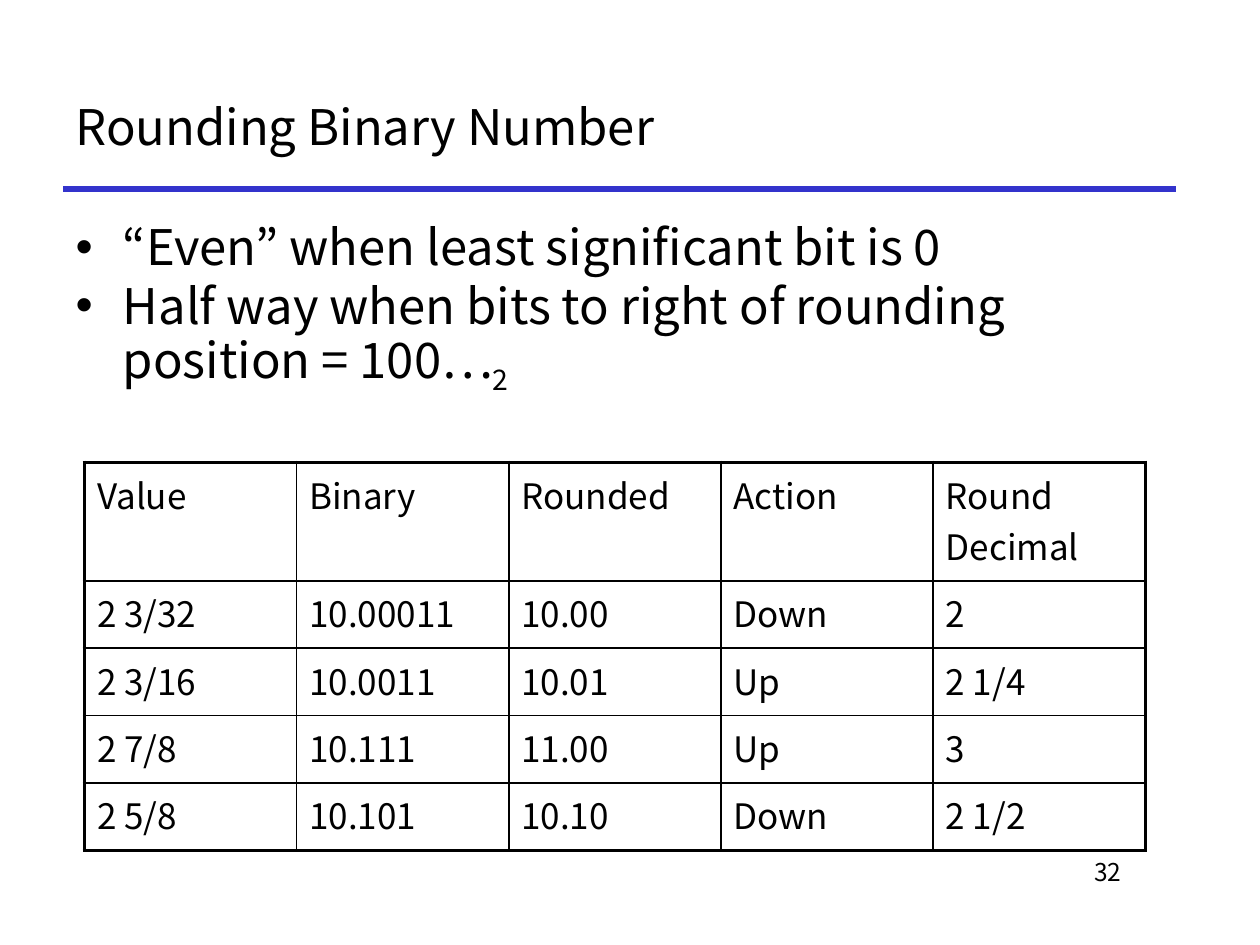
from lxml.etree import SubElement
from pptx import Presentation
from pptx.dml.color import RGBColor
from pptx.enum.shapes import MSO_CONNECTOR as Connector
from pptx.enum.text import MSO_ANCHOR as Anchor, MSO_AUTO_SIZE as AutoSize, PP_ALIGN as Align
from pptx.oxml import parse_xml
from pptx.oxml.ns import nsdecls, qn
from pptx.util import Inches, Pt

FONT = "Noto Sans CJK KR"
BLACK = RGBColor(0x00, 0x00, 0x00)
WHITE = RGBColor(0xFF, 0xFF, 0xFF)
RULE_BLUE = RGBColor(0x33, 0x33, 0xCC)
OUTER, INNER = Pt(2.25), Pt(1)

POINTS = [
    [("“Even” when least significant bit is 0", 0)],
    [("Half way when bits to right of rounding position = 100…", 0), ("2", -25)],
]
ROUNDING = [
    ("Value", "Binary", "Rounded", "Action", "Round Decimal"),
    ("2 3/32", "10.00011", "10.00", "Down", "2"),
    ("2 3/16", "10.0011", "10.01", "Up", "2 1/4"),
    ("2 7/8", "10.111", "11.00", "Up", "3"),
    ("2 5/8", "10.101", "10.10", "Down", "2 1/2"),
]
HEADER_HEIGHT = 0.94


def add_text(para, text, size, baseline=0, align=Align.LEFT):
    """Append a run; baseline is a percentage, negative for a subscript."""
    para.alignment = align
    span = para.add_run()
    span.text = text
    span.font.name, span.font.size = FONT, Pt(size)
    span.font.color.rgb = BLACK
    if baseline:
        span.font._element.set("baseline", str(baseline * 1000))


def place(shape, left, top, width, height):
    shape.left, shape.top = Inches(left), Inches(top)
    shape.width, shape.height = Inches(width), Inches(height)


def fill_title(page, left, top, width, height):
    """Title with the blue rule along its lower edge."""
    bottom = Inches(top + height)
    rule = page.shapes.add_connector(
        Connector.STRAIGHT, Inches(left), bottom, Inches(left + width), bottom)
    rule.line.color.rgb, rule.line.width = RULE_BLUE, Pt(3)
    SubElement(rule._element.spPr, qn("a:effectLst"))

    title = page.shapes.title
    place(title, left, top, width, height)
    frame = title.text_frame
    frame.auto_size, frame.vertical_anchor = AutoSize.NONE, Anchor.MIDDLE
    add_text(frame.paragraphs[0], "Rounding Binary Number", 28)


def fill_points(page, left, top, width, height):
    body = page.placeholders[1]
    place(body, left, top, width, height)
    frame = body.text_frame
    frame.auto_size = AutoSize.NONE
    for index, spans in enumerate(POINTS):
        para = frame.add_paragraph() if index else frame.paragraphs[0]
        para.line_spacing = 0.83
        for text, baseline in spans:
            add_text(para, text, 28, baseline)


def set_borders(cell, widths):
    """Draw the left, right, top and bottom borders, in that order."""
    properties = cell._tc.get_or_add_tcPr()
    for position, (side, width) in enumerate(zip("LRTB", widths)):
        properties.insert(position, parse_xml(
            f'<a:ln{side} {nsdecls("a")} w="{width}"><a:solidFill>'
            f'<a:srgbClr val="{BLACK}"/></a:solidFill></a:ln{side}>'))


def add_rounding_table(page, left, top, width, height):
    row_count, column_count = len(ROUNDING), len(ROUNDING[0])
    table = page.shapes.add_table(
        row_count, column_count,
        Inches(left), Inches(top), Inches(width), Inches(height)).table
    table.first_row = table.horz_banding = False
    for row_index, texts in enumerate(ROUNDING):
        table.rows[row_index].height = Inches(
            (height - HEADER_HEIGHT) / (row_count - 1) if row_index else HEADER_HEIGHT)
        for column_index, text in enumerate(texts):
            cell = table.cell(row_index, column_index)
            cell.fill.solid()
            cell.fill.fore_color.rgb = WHITE
            add_text(cell.text_frame.paragraphs[0], text, 20)
            on_edge = (column_index == 0, column_index == column_count - 1,
                       row_index == 0, row_index == row_count - 1)
            set_borders(cell, [OUTER if edge else INNER for edge in on_edge])


def add_page_number(page, left, top, width, height):
    box = page.shapes.add_textbox(
        Inches(left), Inches(top), Inches(width), Inches(height))
    box.text_frame.word_wrap = True
    add_text(box.text_frame.paragraphs[0], "32", 14, align=Align.RIGHT)


def main():
    deck = Presentation()
    deck.slide_width, deck.slide_height = Inches(10), Inches(7.5)
    page = deck.slides.add_slide(deck.slide_layouts[1])
    fill_title(page, 0.5, 0.5, 8.83, 1)
    fill_points(page, 0.5, 1.75, 8.83, 1.83)
    add_rounding_table(page, 0.67, 3.67, 8.42, 3.08)
    add_page_number(page, 7.58, 6.75, 1.42, 0.5)
    deck.save("out.pptx")


if __name__ == "__main__":
    main()
